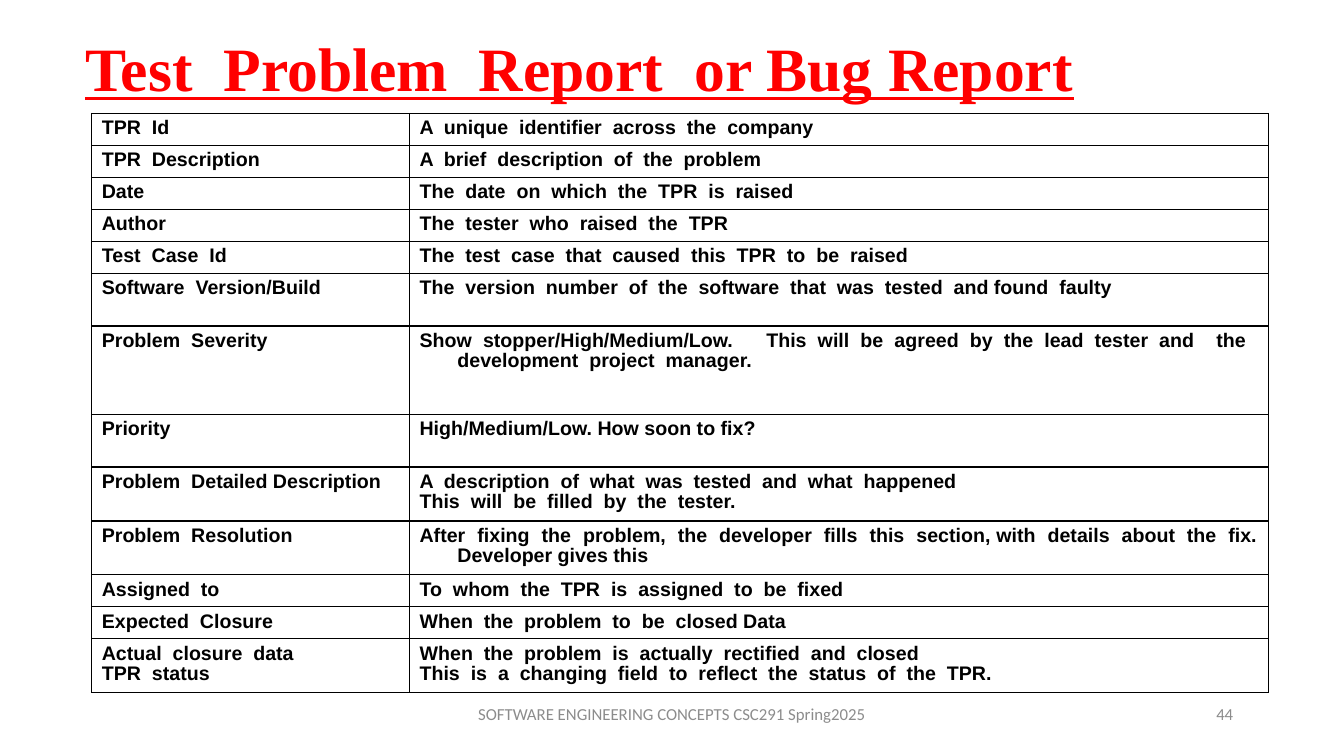
import lxml.etree
import pptx
import pptx.dml.color
import pptx.enum.text
import pptx.oxml.ns
import pptx.util

Pt = pptx.util.Pt
ALIGN = pptx.enum.text.PP_ALIGN
MIDDLE = pptx.enum.text.MSO_ANCHOR.MIDDLE

# Row heights
ONE_LINE, TWO_LINES, FOUR_LINES = 22.8, 37.6, 63.2

# Height, field, explanation; each line of a cell is a paragraph
REPORT_FIELDS = [
    (ONE_LINE, "TPR  Id ", "A  unique  identifier  across  the  company"),
    (ONE_LINE, "TPR  Description", "A  brief  description  of  the  problem"),
    (ONE_LINE, "Date", "The  date  on  which  the  TPR  is  raised"),
    (ONE_LINE, "Author", "The  tester  who  raised  the  TPR"),
    (ONE_LINE, "Test  Case  Id",
     "The  test  case  that  caused  this  TPR  to  be  raised"),
    (TWO_LINES, "Software  Version/Build",
     "The  version  number  of  the  software  that  was  tested  and found  faulty"),
    (FOUR_LINES, "Problem  Severity",
     "Show stopper/High/Medium/Low.   This will be agreed by the lead tester and  "
     "the  development  project  manager."),
    (TWO_LINES, "Priority", "High/Medium/Low. How soon to fix?"),
    (TWO_LINES, "Problem  Detailed Description",
     "A  description  of  what  was  tested  and  what  happened\n"
     "This  will  be  filled  by  the  tester."),
    (TWO_LINES, "Problem  Resolution",
     "After  fixing  the  problem,  the  developer  fills  this  section, "
     "with  details  about  the  fix. Developer gives this"),
    (ONE_LINE, "Assigned  to", "To  whom  the  TPR  is  assigned  to  be  fixed"),
    (ONE_LINE, "Expected  Closure", "When  the  problem  to  be  closed Data"),
    (TWO_LINES, "Actual  closure  data\nTPR  status",
     "When  the  problem  is  actually  rectified  and  closed \n"
     "This  is  a  changing  field  to  reflect  the  status  of  the  TPR."),
]


def rgb(color):
    return pptx.dml.color.RGBColor.from_string(color)


def write(frame, text, *, size, font, color, align=ALIGN.LEFT, bold=False,
          underline=False, spacing=1.0, hanging=0):
    """Fill a text frame, one paragraph for each line of text."""
    for index, line in enumerate(text.split("\n")):
        paragraph = frame.add_paragraph() if index else frame.paragraphs[0]
        paragraph.alignment = align
        paragraph.line_spacing = spacing
        if hanging:
            properties = paragraph._p.get_or_add_pPr()
            properties.set("marL", str(Pt(hanging)))
            properties.set("indent", str(-Pt(hanging)))
        run = paragraph.add_run()
        run.text = line
        run.font.size = Pt(size)
        run.font.name = font
        run.font.bold = bold
        run.font.underline = underline
        run.font.color.rgb = rgb(color)


def add_label(slide, text, left, top, width, height, **text_format):
    frame = slide.shapes.add_textbox(
        Pt(left), Pt(top), Pt(width), Pt(height)).text_frame
    frame.word_wrap = True
    frame.vertical_anchor = MIDDLE
    write(frame, text, **text_format)


def add_borders(cell, color, width):
    properties = cell._tc.get_or_add_tcPr()
    qn = pptx.oxml.ns.qn
    for position, side in enumerate(("a:lnL", "a:lnR", "a:lnT", "a:lnB")):
        border = lxml.etree.Element(qn(side), w=str(Pt(width)))
        fill = lxml.etree.SubElement(border, qn("a:solidFill"))
        lxml.etree.SubElement(fill, qn("a:srgbClr"), val=color)
        properties.insert(position, border)


def add_report_table(slide, left, top, column_widths):
    total_height = sum(height for height, *_ in REPORT_FIELDS)
    table = slide.shapes.add_table(
        len(REPORT_FIELDS), len(column_widths), Pt(left), Pt(top),
        Pt(sum(column_widths)), Pt(total_height)).table
    table.first_row = False
    table.horz_banding = False
    for column, width in zip(table.columns, column_widths):
        column.width = Pt(width)
    for row, (height, *texts) in zip(table.rows, REPORT_FIELDS):
        row.height = Pt(height)
        for cell, text in zip(row.cells, texts):
            cell.fill.background()
            add_borders(cell, "000000", 1)
            write(cell.text_frame, text, size=14, font="Arial", color="000000",
                  bold=True, align=ALIGN.JUSTIFY, spacing=0.93, hanging=27)


def main():
    deck = pptx.Presentation()
    deck.slide_width, deck.slide_height = Pt(960), Pt(540)
    slide = deck.slides.add_slide(deck.slide_layouts[6])

    # Title
    add_label(slide, "Test  Problem  Report  or Bug Report", 54, 18.7, 761, 65,
              size=44, font="Times New Roman", color="FF0000", bold=True,
              underline=True, spacing=0.9)

    # Fields of the report
    add_report_table(slide, 65.5, 81, (227, 613.5))

    # Footer and slide number
    footer = {"size": 12, "font": "Calibri", "color": "8C8C8C"}
    add_label(slide, "44", 688, 492, 200, 36, align=ALIGN.RIGHT, **footer)
    add_label(slide, "SOFTWARE ENGINEERING CONCEPTS CSC291 Spring2025",
              328, 492, 304, 36, align=ALIGN.CENTER, **footer)

    deck.save("out.pptx")


if __name__ == "__main__":
    main()
